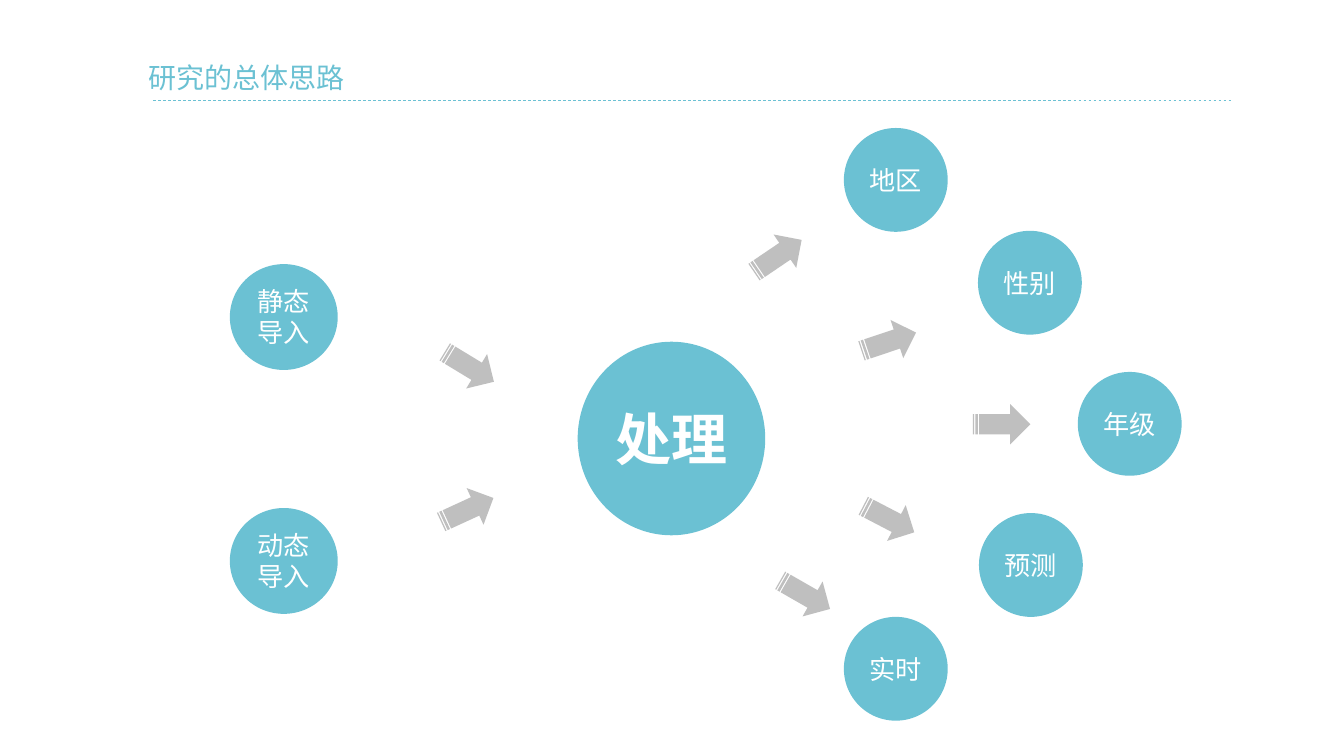
from pptx import Presentation
from pptx.dml.color import RGBColor
from pptx.enum.dml import MSO_LINE
from pptx.enum.shapes import MSO_CONNECTOR, MSO_SHAPE
from pptx.enum.text import MSO_ANCHOR, PP_ALIGN
from pptx.oxml.ns import qn
from pptx.util import Inches, Pt
from lxml.etree import SubElement

TEAL = RGBColor(0x6B, 0xC1, 0xD3)
GREY = RGBColor(0xBF, 0xBF, 0xBF)
WHITE = RGBColor(0xFF, 0xFF, 0xFF)
FONT = "Noto Sans CJK SC"


def add_run(p, text, size, color, bold=False):
    r = p.add_run()
    r.text = text
    r.font.size = Pt(size)
    r.font.bold = bold
    r.font.name = FONT
    r.font.color.rgb = color
    SubElement(r.font._element, qn("a:ea"), typeface=FONT)


def add_solid(s, kind, x, y, w, h, color):
    sp = s.shapes.add_shape(kind, Inches(x), Inches(y), Inches(w), Inches(h))
    sp.shadow.inherit = False
    sp.fill.solid()
    sp.fill.fore_color.rgb = color
    sp.line.fill.background()
    return sp


def add_circle(s, x, y, w, h, text, size=18.7, bold=False, spacing=None):
    tf = add_solid(s, MSO_SHAPE.OVAL, x, y, w, h, TEAL).text_frame
    tf.word_wrap = True
    tf.vertical_anchor = MSO_ANCHOR.MIDDLE
    tf.margin_left = tf.margin_right = Inches(0.08)
    p = tf.paragraphs[0]
    p.alignment = PP_ALIGN.CENTER
    if spacing:
        p.line_spacing = Pt(spacing)
    add_run(p, text, size, WHITE, bold)


def add_arrow(s, x, y, angle):
    sp = add_solid(s, MSO_SHAPE.STRIPED_RIGHT_ARROW, x, y, 0.57, 0.4, GREY)
    sp.rotation = angle


def add_header(s, x, y, w, text):
    title = s.shapes.title
    title.left, title.top = Inches(x), Inches(y)
    title.width, title.height = Inches(2.17), Inches(0.44)
    tf = title.text_frame
    tf.word_wrap = False
    tf.vertical_anchor = MSO_ANCHOR.MIDDLE
    p = tf.paragraphs[0]
    p.alignment = PP_ALIGN.LEFT
    add_run(p, text, 20, TEAL)

    rule_y = Inches(y + 0.45)
    rule = s.shapes.add_connector(
        MSO_CONNECTOR.STRAIGHT, Inches(x + 0.15), rule_y, Inches(x + w), rule_y)
    rule.line.color.rgb = TEAL
    rule.line.width = Pt(0.5)
    rule.line.dash_style = MSO_LINE.DASH
    SubElement(rule._element.spPr, qn("a:effectLst"))


def add_inputs(s, x, y):
    inputs = [
        ("静态导入", 0, 2.09, 0.82, 31.3),
        ("动态导入", 2.42, 2.07, 2.24, 335.3),
    ]
    for text, dy, arrow_dx, arrow_dy, angle in inputs:
        add_circle(s, x, y + dy, 1.07, 1.05, text, spacing=22)
        add_arrow(s, x + arrow_dx, y + arrow_dy, angle)


def add_outputs(s, x, y):
    outputs = [
        ("地区", 0.94, 0, 0, 1.07, 325.9),
        ("性别", 2.27, 1.02, 1.1, 1.92, 341.5),
        ("年级", 3.26, 2.42, 2.22, 2.74, 0),
        ("预测", 2.28, 3.82, 1.1, 3.68, 27.5),
        ("实时", 0.94, 4.85, 0.27, 4.43, 29.8),
    ]
    for text, dx, dy, arrow_dx, arrow_dy, angle in outputs:
        add_circle(s, x + dx, y + dy, 1.03, 1.03, text)
        add_arrow(s, x + arrow_dx, y + arrow_dy, angle)


def main():
    prs = Presentation()
    prs.slide_width, prs.slide_height = Inches(13.33), Inches(7.5)
    s = prs.slides.add_slide(prs.slide_layouts[5])
    add_header(s, 1.37, 0.55, 10.86, "研究的总体思路")
    add_inputs(s, 2.28, 2.62)
    add_circle(s, 5.73, 3.39, 1.86, 1.92, "处理", size=40, bold=True)
    add_outputs(s, 7.43, 1.27)
    prs.save("out.pptx")


if __name__ == "__main__":
    main()
